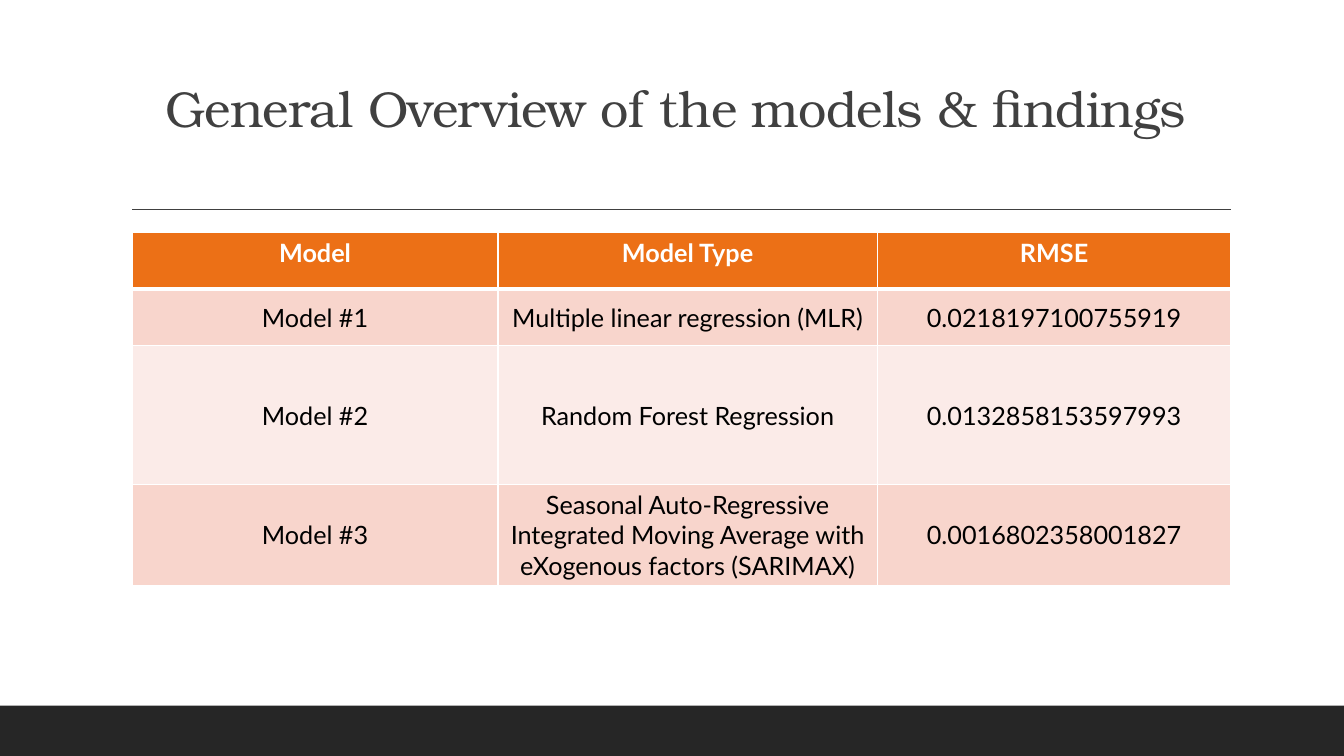
from lxml.etree import SubElement as Sub
from pptx import Presentation
from pptx.dml.color import RGBColor as Rgb
from pptx.enum.shapes import MSO_CONNECTOR as Conn, MSO_SHAPE as Shape
from pptx.enum.text import MSO_ANCHOR as Anchor, PP_ALIGN as Align
from pptx.oxml.ns import qn
from pptx.util import Inches, Pt

COLORS = {
    "white": "FFFFFF",
    "black": "000000",
    "band": "262626",
    "ink": "404040",
    "head": "EC7016",
    "odd": "F8D5CC",
    "even": "FBEBE8",
}
WIDTHS = [3.63, 3.76, 3.51]
HEIGHTS = [0.56, 0.56, 1.38, 1]
ROWS = [
    ["Model", "Model Type", "RMSE"],
    ["Model #1", "Multiple linear regression (MLR)", "0.0218197100755919"],
    ["Model #2", "Random Forest Regression", "0.0132858153597993"],
    [
        "Model #3",
        "Seasonal Auto-Regressive Integrated Moving Average with eXogenous factors (SARIMAX)",
        "0.0016802358001827",
    ],
]


def color(name):
    return Rgb.from_string(COLORS[name])


def style(frame, face, size, ink, bold=False):
    para = frame.paragraphs[0]
    para.alignment = Align.CENTER
    font = para.runs[0].font
    font.name = face
    font.size = Pt(size)
    font.bold = bold
    font.color.rgb = color(ink)
    return para


def add_band(slide):
    band = slide.shapes.add_shape(
        Shape.RECTANGLE, Inches(0), Inches(7), Inches(13.33), Inches(0.5)
    )
    band.shadow.inherit = False
    band.fill.solid()
    band.fill.fore_color.rgb = color("band")
    band.line.fill.background()


def add_rule(slide):
    rule = slide.shapes.add_connector(
        Conn.STRAIGHT, Inches(1.31), Inches(2.08), Inches(12.21), Inches(2.08)
    )
    rule.line.color.rgb = color("ink")
    rule.line.width = Pt(1)
    Sub(rule._element.spPr, qn("a:effectLst"))


def add_title(slide, text):
    box = slide.shapes.add_textbox(Inches(1.2), Inches(0.31), Inches(11), Inches(1.59))
    frame = box.text_frame
    frame.word_wrap = True
    frame.vertical_anchor = Anchor.MIDDLE
    frame.text = text
    para = style(frame, "TeX Gyre Bonum", 36, "ink")
    para.line_spacing = 0.9
    para.runs[0]._r.get_or_add_rPr().set("spc", "-50")


def add_edges(cell, widths):
    props = cell._tc.get_or_add_tcPr()
    for side, width in widths.items():
        edge = Sub(props, qn(f"a:ln{side}"), w=str(Pt(width)))
        fill = Sub(edge, qn("a:solidFill"))
        Sub(fill, qn("a:srgbClr"), val=COLORS["white"])


def fill_cell(cell, text, row):
    head = row == 0
    top = 3 if row == 1 else 1
    add_edges(cell, {"L": 1, "R": 1, "T": top, "B": 3 if head else 1})
    cell.fill.solid()
    cell.fill.fore_color.rgb = color("head" if head else "odd" if row % 2 else "even")
    cell.vertical_anchor = Anchor.TOP if head else Anchor.MIDDLE
    cell.text_frame.text = text
    style(cell.text_frame, "Lato", 18, "white" if head else "black", head)


def add_grid(slide):
    table = slide.shapes.add_table(
        len(ROWS), len(WIDTHS), Inches(1.31), Inches(2.31),
        Inches(sum(WIDTHS)), Inches(sum(HEIGHTS)),
    ).table
    for col, width in zip(table.columns, WIDTHS):
        col.width = Inches(width)
    for row, height in enumerate(HEIGHTS):
        table.rows[row].height = Inches(height)
        for col, text in enumerate(ROWS[row]):
            fill_cell(table.cell(row, col), text, row)


def main():
    deck = Presentation()
    deck.slide_width = Inches(13.33)
    deck.slide_height = Inches(7.5)
    slide = deck.slides.add_slide(deck.slide_layouts[6])
    add_band(slide)
    add_rule(slide)
    add_title(slide, "General Overview of the models & findings")
    add_grid(slide)
    deck.save("out.pptx")


if __name__ == "__main__":
    main()
